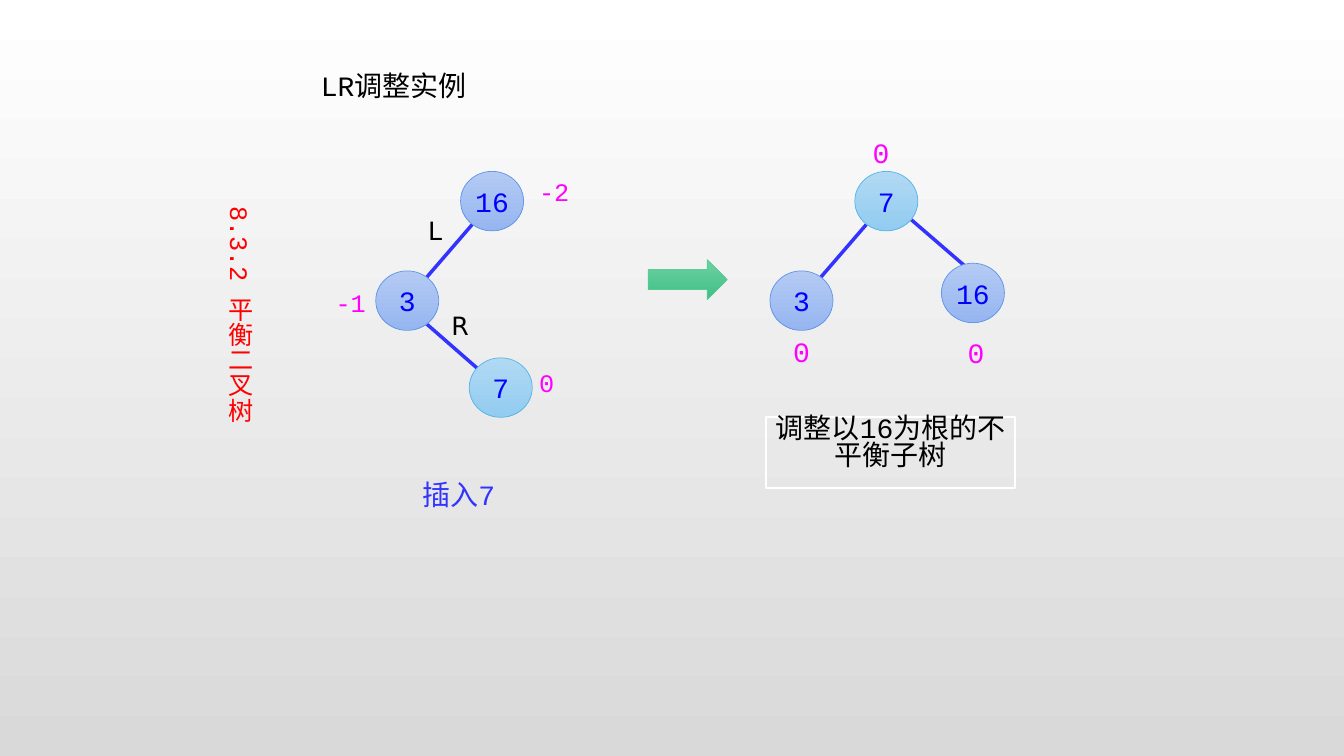
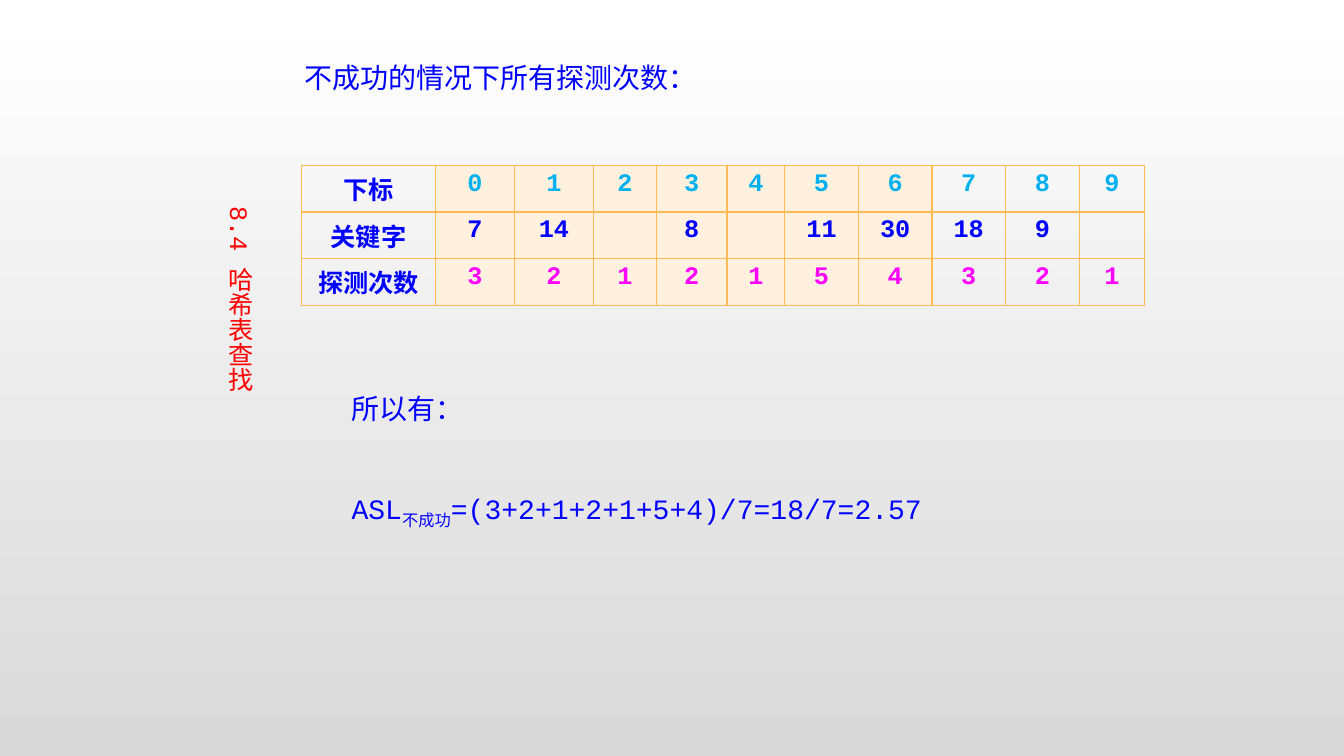
"""Build two slides on balanced binary trees and hash table lookup."""
import pptx
import pptx.dml.color
import pptx.enum.shapes
import pptx.enum.text
import pptx.util
from lxml import etree

Pt = pptx.util.Pt
SHAPE = pptx.enum.shapes.MSO_SHAPE
ALIGN = pptx.enum.text.PP_ALIGN
ANCHOR = pptx.enum.text.MSO_ANCHOR
NAMESPACE = "http://schemas.openxmlformats.org/drawingml/2006/main"
MONO = "Courier New"
BLUE, EDGE, MAGENTA, RED = "0000FF", "3333FF", "FF00FF", "FF0000"
BLACK, WHITE, ORANGE, CREAM, CYAN = "000000", "FFFFFF", "FFBA55", "FFF1DD", "00B0F0"
OLD = ("B4CAF3", "96B6F1", "6096E6")
NEW = ("B1D9F3", "92CCF1", "58B6E5")
GREEN = ("6DD1A1", "41BF85", "56CA95")


def paint(color, value):
    """Set a colour object from a hex string."""
    color.rgb = pptx.dml.color.RGBColor.from_string(value)


def write(frame, text, size, color, font=MONO, align=ALIGN.LEFT, anchor=ANCHOR.TOP):
    """Fill a text frame with one styled paragraph and return it."""
    frame.word_wrap = True
    frame.vertical_anchor = anchor
    para = frame.paragraphs[0]
    para.text = text
    para.alignment = align
    for span in para.runs:
        span.font.size = Pt(size)
        span.font.name = font
        paint(span.font.color, color)
    return para


deck = pptx.Presentation()
deck.slide_width, deck.slide_height = Pt(960), Pt(540)
backdrop = deck.slide_master.background.fill
backdrop.gradient()
backdrop.gradient_angle = 270
for stop, color in zip(backdrop.gradient_stops, (WHITE, "D9D9D9")):
    paint(stop.color, color)

pages = []
for heading, left, color, font, spacing, section in (
    ("LR调整实例", 222, BLACK, MONO, 1.25, "8.3.2 平衡二叉树"),
    ("不成功的情况下所有探测次数：", 210, BLUE, "Arial", 1, "8.4 哈希表查找"),
):
    page = deck.slides.add_slide(deck.slide_layouts[5])
    pages.append(page)
    title = page.shapes.title
    title.left, title.top, title.width, title.height = Pt(left), Pt(39.6), Pt(329), Pt(37)
    write(title.text_frame, heading, 20, color, font).line_spacing = spacing
    box = page.shapes.add_textbox(Pt(150), Pt(140.4), Pt(36), Pt(248))
    write(box.text_frame, section, 18, RED)
    box.text_frame._txBody.bodyPr.set("vert", "eaVert")

tree_page, hash_page = pages

for x1, y1, x2, y2 in (
    (298, 225.5, 342, 264),
    (338.5, 159, 297.5, 206.5),
    (651, 157, 695, 195),
    (620, 159, 579, 206.5),
):
    edge = tree_page.shapes.add_connector(
        pptx.enum.shapes.MSO_CONNECTOR.STRAIGHT, Pt(x1), Pt(y1), Pt(x2), Pt(y2))
    paint(edge.line.color, EDGE)
    edge.line.width = Pt(2.5)
    etree.SubElement(edge._element.spPr, f"{{{NAMESPACE}}}effectLst")

for kind, text, left, top, width, height, colors in (
    (SHAPE.OVAL, "16", 329, 122.4, 45, 42.5, OLD),
    (SHAPE.OVAL, "3", 268.4, 193.5, 45, 42.5, OLD),
    (SHAPE.OVAL, "7", 335.2, 255.6, 45, 42.5, NEW),
    (SHAPE.OVAL, "7", 610.6, 122.4, 45, 42.5, NEW),
    (SHAPE.OVAL, "3", 550, 193.5, 45, 42.5, OLD),
    (SHAPE.OVAL, "16", 672.5, 188, 45, 42.5, OLD),
    (SHAPE.RIGHT_ARROW, "", 463, 185.5, 56.5, 28.5, GREEN),
    (SHAPE.RECTANGLE, "调整以16为根的不平衡子树", 547.2, 298, 178, 50.4, None),
):
    shape = tree_page.shapes.add_shape(kind, Pt(left), Pt(top), Pt(width), Pt(height))
    shape.shadow.inherit = False
    frame = shape.text_frame
    frame.margin_left = frame.margin_right = frame.margin_top = frame.margin_bottom = 0
    if colors:
        shape.fill.gradient()
        shape.fill.gradient_angle = 270
        for stop, color in zip(shape.fill.gradient_stops, colors):
            paint(stop.color, color)
        paint(shape.line.color, colors[2])
        shape.line.width = Pt(0.5)
        write(frame, text, 20, BLUE, MONO, ALIGN.CENTER, ANCHOR.MIDDLE)
    else:
        shape.fill.background()
        paint(shape.line.color, WHITE)
        shape.line.width = Pt(1.5)
        write(frame, text, 20, BLACK, MONO, ALIGN.CENTER).line_spacing = 0.8

for text, left, top, width, size, color, font in (
    ("R", 315.4, 218.2, 46, 18, BLACK, "DejaVu Sans"),
    ("L", 298.8, 150.5, 46, 18, BLACK, "DejaVu Sans"),
    ("0", 378, 258.5, 46, 18, MAGENTA, MONO),
    ("-2", 378, 122.4, 46, 18, MAGENTA, MONO),
    ("-1", 232.6, 201.6, 46, 18, MAGENTA, MONO),
    ("0", 616.3, 93.6, 46, 20, MAGENTA, MONO),
    ("0", 559.4, 235.4, 46, 20, MAGENTA, MONO),
    ("0", 684, 236.2, 46, 20, MAGENTA, MONO),
    ("插入7", 294.5, 337.7, 84, 20, EDGE, MONO),
):
    box = tree_page.shapes.add_textbox(Pt(left), Pt(top), Pt(width), Pt(30))
    write(box.text_frame, text, size, color, font)

rows = (
    (("下标", "0", "1", "2", "3", "4", "5", "6", "7", "8", "9"), CYAN, 30),
    (("关键字", "7", "14", "", "8", "", "11", "30", "18", "9", ""), BLUE, 29),
    (("探测次数", "3", "2", "1", "2", "1", "5", "4", "3", "2", "1"), MAGENTA, 29),
)
widths = (95.8, 56.4, 56.4, 45, 50.5, 41.2, 52.6, 52.6, 52.6, 52.6, 46.8)
table = hash_page.shapes.add_table(
    len(rows), len(widths), Pt(215.3), Pt(118.1), Pt(sum(widths)), Pt(88)).table
table.first_row = table.horz_banding = False
for column, width in zip(table.columns, widths):
    column.width = Pt(width)
for row, (texts, color, height) in zip(table.rows, rows):
    row.height = Pt(height)
    for index, (cell, text) in enumerate(zip(row.cells, texts)):
        para = write(cell.text_frame, text, 18, color if index else BLUE, MONO, ALIGN.CENTER)
        for span in para.runs:
            span.font.bold = True
        properties = cell._tc.get_or_add_tcPr()
        for side in ("lnL", "lnR", "lnT", "lnB"):
            border = etree.SubElement(properties, f"{{{NAMESPACE}}}{side}", w="12700")
            solid = etree.SubElement(border, f"{{{NAMESPACE}}}solidFill")
            etree.SubElement(solid, f"{{{NAMESPACE}}}srgbClr", val=ORANGE)
        if 1 <= index <= 7:
            cell.fill.solid()
            paint(cell.fill.fore_color, CREAM)
        else:
            cell.fill.background()

box = hash_page.shapes.add_textbox(Pt(244), Pt(264.2), Pt(456), Pt(120))
write(box.text_frame, "所以有：", 20, BLUE).line_spacing = 1.5
para = box.text_frame.add_paragraph()
para.line_spacing = 1.5
para.space_before = Pt(34)
for text in ("ASL", "不成功", "=(3+2+1+2+1+5+4)/7=18/7=2.57"):
    span = para.add_run()
    span.text = text
    span.font.size = Pt(20)
    span.font.name = MONO
    paint(span.font.color, BLUE)
para.runs[1]._r.get_or_add_rPr().set("baseline", "-25000")

deck.save("out.pptx")
